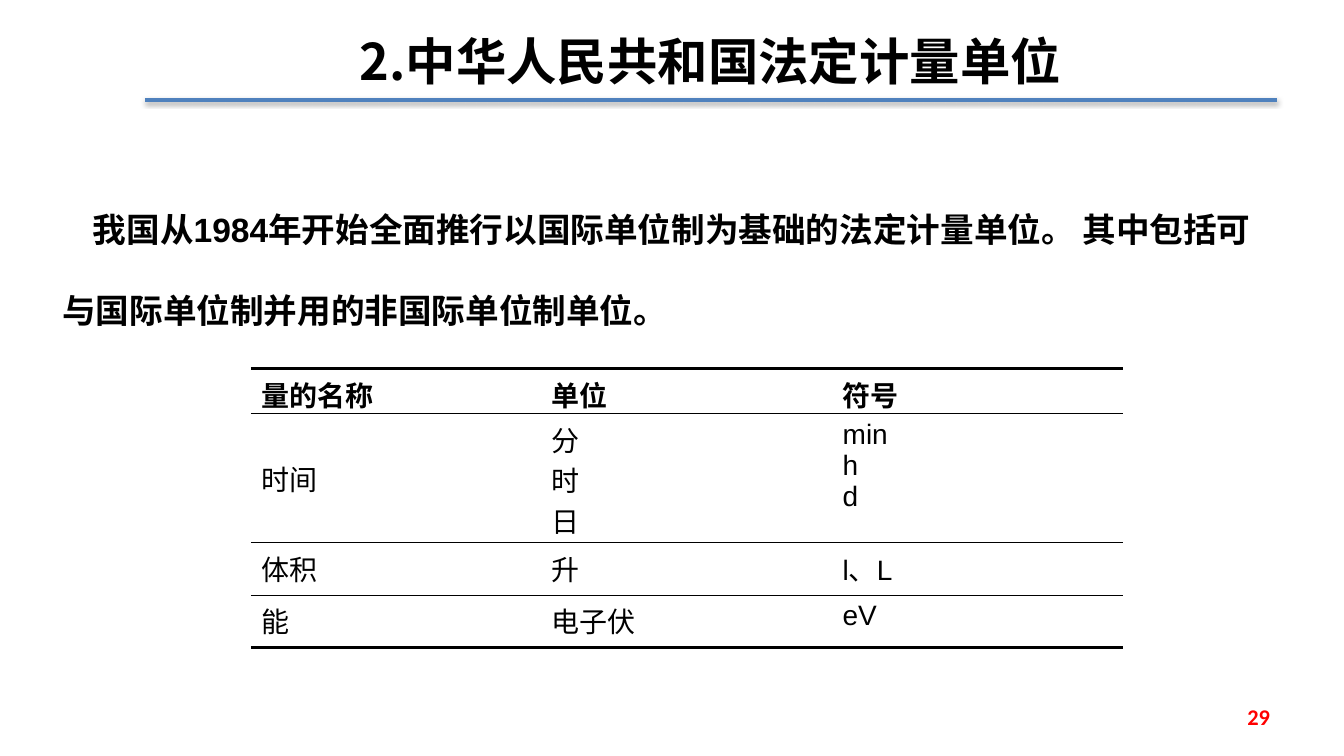
from lxml import etree
from pptx import Presentation
from pptx import util as u
from pptx.dml.color import RGBColor
from pptx.enum import shapes, text
from pptx.oxml import parse_xml
from pptx.oxml.ns import nsdecls, qn

BLACK = RGBColor(0, 0, 0)
BLUE = RGBColor(0x4F, 0x81, 0xBD)
RED = RGBColor(0xFF, 0, 0)
CJK = "Noto Sans CJK SC"
PX = 9525


def style(p, name, size, color=BLACK, bold=True):
    p.font.name = name
    p.font.size = u.Pt(size)
    p.font.bold = bold
    p.font.color.rgb = color
    ea = etree.SubElement(p._p.pPr.find(qn("a:defRPr")), qn("a:ea"))
    ea.set("typeface", CJK)


def border(cell, side, width):
    ln = etree.SubElement(cell._tc.get_or_add_tcPr(), qn("a:ln" + side))
    ln.set("w", str(u.Pt(width)))
    if width:
        fill = etree.SubElement(ln, qn("a:solidFill"))
        etree.SubElement(fill, qn("a:srgbClr")).set("val", str(BLACK))
    else:
        etree.SubElement(ln, qn("a:noFill"))


prs = Presentation()
prs.slide_width, prs.slide_height = 1280 * PX, 720 * PX
s = prs.slides.add_slide(prs.slide_layouts[5])

rule = s.shapes.add_connector(
    shapes.MSO_CONNECTOR.STRAIGHT, 138 * PX, 95 * PX, 1216 * PX, 95 * PX)
rule.line.color.rgb = BLUE
rule.line.width = u.Pt(3)
rule._element.spPr.append(parse_xml(
    f'<a:effectLst {nsdecls("a")}>'
    '<a:outerShdw blurRad="40000" dist="23000" dir="5400000" rotWithShape="0">'
    '<a:srgbClr val="000000"><a:alpha val="35000"/></a:srgbClr>'
    '</a:outerShdw></a:effectLst>'))

title = s.shapes.title
title.left, title.top, title.width, title.height = (
    v * PX for v in (138, 13, 1077, 83))
tf = title.text_frame
tf.text = "2.中华人民共和国法定计量单位"
tf.vertical_anchor = text.MSO_ANCHOR.MIDDLE
p = tf.paragraphs[0]
p.alignment = text.PP_ALIGN.CENTER
p.line_spacing = 1.1
style(p, CJK, 36)

intro = s.shapes.add_textbox(50 * PX, 156 * PX, 1157 * PX, 151 * PX)
tf = intro.text_frame
tf.word_wrap = True
tf.text = "我国从1984年开始全面推行以国际单位制为基础的法定计量单位。 其中包括可与国际单位制并用的非国际单位制单位。"
p = tf.paragraphs[0]
p.line_spacing = 2.0
p._p.get_or_add_pPr().set("indent", str(29 * PX))
style(p, "Arial", 24)

rows = [
    ("量的名称", "单位", "符号"),
    ("时间", "分\n时\n日", "min\nh\nd"),
    ("体积", "升", "l、L"),
    ("能", "电子伏", "eV"),
]
heights = [43, 123, 50, 50]
edges = [2.25, 1, 1, 1, 2.25]
units = s.shapes.add_table(
    4, 3, 239 * PX, 351 * PX, 831 * PX, sum(heights) * PX).table
units.first_row = units.horz_banding = False
for col in units.columns:
    col.width = 277 * PX
for i, row in enumerate(rows):
    units.rows[i].height = heights[i] * PX
    for j, value in enumerate(row):
        cell = units.cell(i, j)
        cell.text = value
        for side, width in zip("LRTB", (0, 0, edges[i], edges[i + 1])):
            border(cell, side, width)
        cell.fill.background()
        for p in cell.text_frame.paragraphs:
            style(p, "Arial", 20, bold=i == 0)
units.cell(1, 0).vertical_anchor = text.MSO_ANCHOR.MIDDLE

number = s.shapes.add_textbox(995 * PX, 663 * PX, 224 * PX, 38 * PX)
tf = number.text_frame
tf.word_wrap = True
tf.text = "29"
tf.vertical_anchor = text.MSO_ANCHOR.MIDDLE
p = tf.paragraphs[0]
p.alignment = text.PP_ALIGN.RIGHT
style(p, "Calibri", 16, RED)

prs.save("out.pptx")
